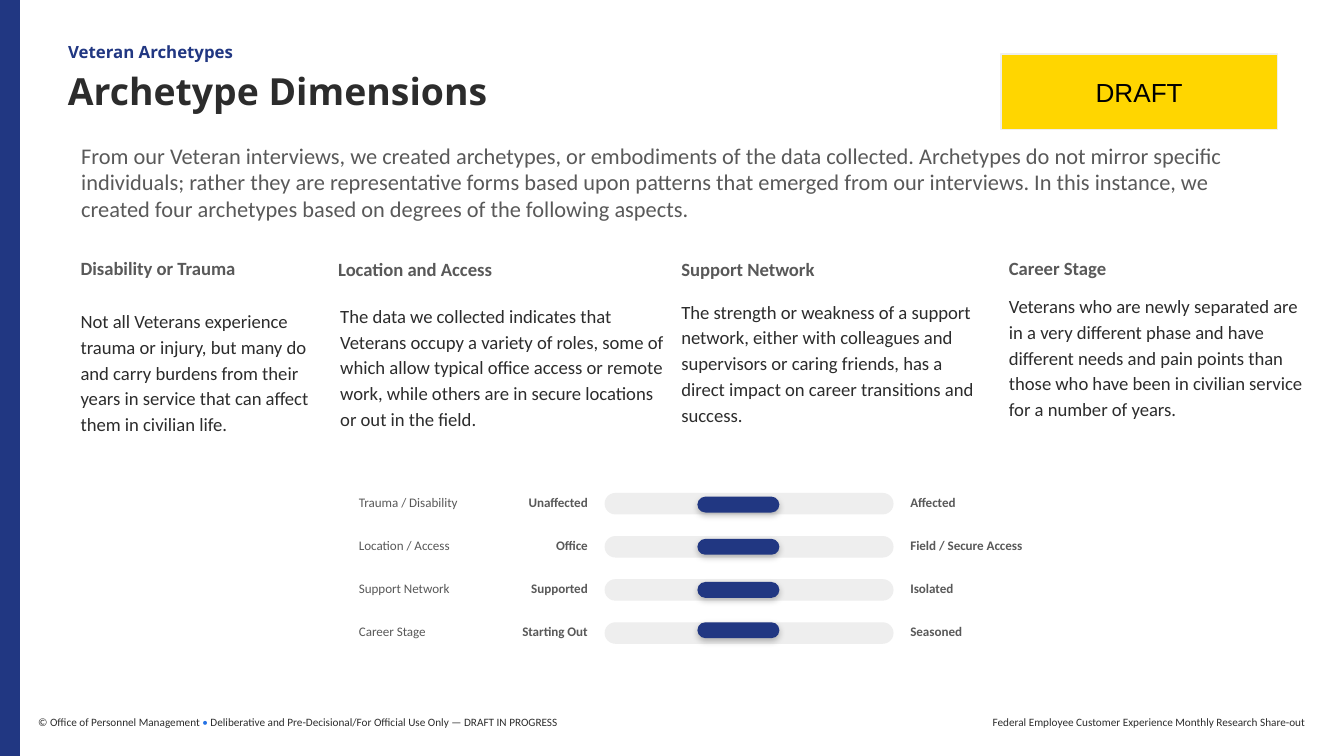
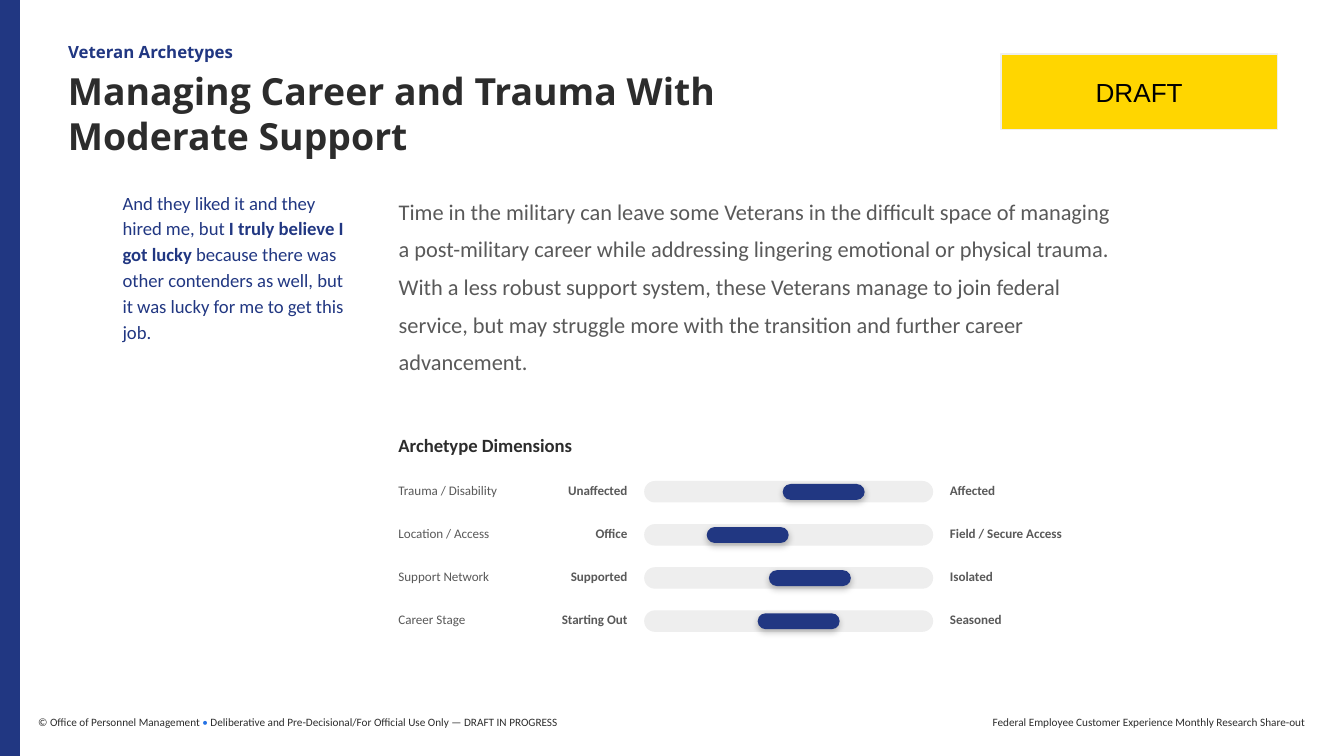
from lxml.etree import SubElement
from pptx import Presentation
from pptx.dml.color import RGBColor
from pptx.enum.shapes import MSO_SHAPE
from pptx.enum.text import MSO_ANCHOR, MSO_AUTO_SIZE, PP_ALIGN
from pptx.oxml.ns import qn
from pptx.util import Pt

COLORS = {
    "navy": "213782", "white": "FFFFFF", "ink": "2C2C2C", "gray": "595959",
    "track": "EEEEEE", "yellow": "FFD600", "black": "000000", "dot": "2572E4",
}
NO_INSETS = (0, 0, 0, 0)
BOX_INSETS = (7.2, 7.2, 7.2, 7.2)
FOOTER_INSETS = (0, 7.2, 0, 7.2)
ROW_PITCH = 23.1

# Dimension, low end, high end, width of the high-end label
DIMENSIONS = [
    ("Trauma / Disability", "Unaffected", "Affected", 78),
    ("Location / Access", "Office", "Field / Secure Access", 89),
    ("Support Network", "Supported", "Isolated", 78),
    ("Career Stage", "Starting Out", "Seasoned", 78),
]

# Heading and its position, then description and its box
ASPECTS = [
    ("Disability or Trauma", (43.2, 137.5),
     "Not all Veterans experience trauma or injury, but many do and carry burdens "
     "from their years in service that can affect them in civilian life.",
     (43.2, 164.2, 126.7, 71.3)),
    ("Location and Access", (181.2, 138.4),
     "The data we collected indicates that Veterans occupy a variety of roles, some "
     "of which allow typical office access or remote work, while others are in "
     "secure locations or out in the field.",
     (182.3, 161.5, 175.7, 66.2)),
    ("Support Network", (365, 138.4),
     "The strength or weakness of a support network, either with colleagues and "
     "supervisors or caring friends, has a direct impact on career transitions "
     "and success.",
     (365, 159.2, 159.8, 71.3)),
    ("Career Stage", (540.5, 137.5),
     "Veterans who are newly separated are in a very different phase and have "
     "different needs and pain points than those who have been in civilian service "
     "for a number of years.",
     (540.5, 156.2, 159.8, 82)),
]


def color(name):
    return RGBColor.from_string(COLORS[name])


def place(shape, box):
    shape.left, shape.top, shape.width, shape.height = (Pt(value) for value in box)


def write_text(shape, text, size=10, font="Calibri", ink="gray", bold=False,
               align=PP_ALIGN.LEFT, anchor=MSO_ANCHOR.TOP, insets=NO_INSETS,
               line_spacing=1.0, space_after=0):
    """Text is a string, or a list of (string, format changes) runs."""
    frame = shape.text_frame
    frame.word_wrap = True
    frame.auto_size = MSO_AUTO_SIZE.NONE
    frame.vertical_anchor = anchor
    (frame.margin_left, frame.margin_top,
     frame.margin_right, frame.margin_bottom) = (Pt(value) for value in insets)
    paragraph = frame.paragraphs[0]
    paragraph.alignment = align
    paragraph.line_spacing = line_spacing
    paragraph.space_before = Pt(0)
    paragraph.space_after = Pt(space_after)
    for words, changes in [(text, {})] if isinstance(text, str) else text:
        run = paragraph.add_run()
        run.text = words
        run.font.size = Pt(size)
        run.font.name = font
        run.font.bold = changes.get("bold", bold)
        run.font.color.rgb = color(changes.get("ink", ink))


def add_text(slide, box, text, **text_format):
    shape = slide.shapes.add_textbox(*(Pt(value) for value in box))
    write_text(shape, text, **text_format)


def add_box(slide, box, fill, kind=MSO_SHAPE.RECTANGLE, line=None):
    shape = slide.shapes.add_shape(kind, *(Pt(value) for value in box))
    shape.shadow.inherit = False
    shape.fill.solid()
    shape.fill.fore_color.rgb = color(fill)
    if line:
        shape.line.color.rgb = color(line)
        shape.line.width = Pt(0.75)
    else:
        shape.line.fill.background()
    return shape


def add_pill(slide, box, fill):
    shape = add_box(slide, box, fill, MSO_SHAPE.ROUNDED_RECTANGLE)
    shape.adjustments[0] = 0.5
    return shape


def add_soft_shadow(shape):
    effects = shape._element.spPr.find(qn("a:effectLst"))
    shadow = SubElement(effects, qn("a:outerShdw"), blurRad=str(Pt(3.4)),
                        dist=str(Pt(1.5)), dir="5400000", rotWithShape="0")
    tint = SubElement(shadow, qn("a:srgbClr"), val=COLORS["black"])
    SubElement(tint, qn("a:alpha"), val="25000")


def add_body(slide, box, text, **text_format):
    body = slide.placeholders[1]
    place(body, box)
    properties = body.text_frame.paragraphs[0]._p.get_or_add_pPr()
    properties.set("marL", "0")
    properties.set("indent", "0")
    SubElement(properties, qn("a:buNone"))
    write_text(body, text, size=12, insets=BOX_INSETS, space_after=10, **text_format)


def add_scales(slide, left, top, markers):
    """One row per dimension; markers holds (left, drop below track top)."""
    for index, (dimension, low, high, high_width) in enumerate(DIMENSIONS):
        track_top = top + index * ROW_PITCH
        label_top = track_top - 1.4
        add_pill(slide, (left + 138.7, track_top, 154.8, 11.5), "track")
        add_text(slide, (left + 70.3, label_top, 68.4, 13), low, size=7, bold=True,
                 align=PP_ALIGN.RIGHT, insets=(7.2, 2.2, 9, 2.2))
        add_text(slide, (left + 293.5, label_top, high_width, 13), high, size=7,
                 bold=True, insets=(9, 2.2, 7.2, 2.2))
        add_text(slide, (left, label_top, 95, 13), dimension, size=7,
                 insets=(7.2, 2.2, 7.2, 2.2))
        marker_left, drop = markers[index]
        marker = add_pill(slide, (marker_left, track_top + drop, 43.9, 8.5), "navy")
        add_soft_shadow(marker)


def add_base_slide(presentation, title, title_width):
    slide = presentation.slides.add_slide(presentation.slide_layouts[1])
    # White panel behind everything leaves the navy band at the left
    panel = add_box(slide, (10.8, 0, 709.2, 405), "white")
    slide.shapes._spTree.insert(2, panel._element)
    # Footers
    add_text(slide, (20.5, 376.8, 324, 20),
             [("© Office of Personnel Management ", {}), ("•", {"ink": "dot"}),
              (" Deliberative and Pre-Decisional/For Official Use Only"
               " — DRAFT IN PROGRESS", {})],
             size=6, ink="ink", anchor=MSO_ANCHOR.MIDDLE, insets=FOOTER_INSETS)
    add_text(slide, (420.4, 376.8, 278.6, 20),
             "Federal Employee Customer Experience Monthly Research Share-out",
             size=6, ink="ink", align=PP_ALIGN.RIGHT, anchor=MSO_ANCHOR.MIDDLE,
             insets=FOOTER_INSETS)
    # Title and the section name above it
    place(slide.shapes.title, (36.3, 36.5, title_width, 56))
    write_text(slide.shapes.title, title, size=20, font="Open Sans", ink="ink",
               bold=True, insets=(0, 0, 0, 7.2))
    add_text(slide, (36.5, 20.3, 230, 13), "Veteran Archetypes", size=9,
             font="Open Sans", ink="navy", bold=True, anchor=MSO_ANCHOR.BOTTOM)
    # Draft stamp
    stamp = add_box(slide, (536.3, 28.9, 148, 40.4), "yellow", line="track")
    write_text(stamp, "DRAFT", size=14, font="Arial", ink="black",
               align=PP_ALIGN.CENTER, anchor=MSO_ANCHOR.MIDDLE, insets=BOX_INSETS)
    return slide


def build_dimensions_slide(presentation):
    slide = add_base_slide(presentation, "Archetype Dimensions", 387.4)
    add_body(slide, (36.3, 68.7, 627, 68.4),
             "From our Veteran interviews, we created archetypes, or embodiments of "
             "the data collected. Archetypes do not mirror specific individuals; "
             "rather they are representative forms based upon patterns that emerged "
             "from our interviews. In this instance, we created four archetypes "
             "based on degrees of the following aspects.")
    for heading, (left, top), description, box in ASPECTS:
        add_text(slide, (left, top, 112, 16), heading, bold=True)
        add_text(slide, box, description, ink="ink", line_spacing=1.15, space_after=10)
    add_scales(slide, 185.2, 264.1, [(373.6, drop) for drop in (2, 1.5, 1.5, 0)])


def build_archetype_slide(presentation):
    slide = add_base_slide(
        presentation, "Managing Career and Trauma With Moderate Support", 431.3)
    add_body(slide, (206.4, 93, 399, 126.7),
             "Time in the military can leave some Veterans in the difficult space of "
             "managing a post-military career while addressing lingering emotional "
             "or physical trauma. With a less robust support system, these Veterans "
             "manage to join federal service, but may struggle more with the "
             "transition and further career advancement.", line_spacing=1.4)
    # Quote
    add_text(slide, (58.6, 93.6, 139.7, 98),
             [("And they liked it and they hired me, but ", {}),
              ("I truly believe I got lucky", {"bold": True}),
              (" because there was other contenders as well, but it was lucky for "
               "me to get this job.", {})],
             ink="navy", insets=BOX_INSETS, line_spacing=1.15)
    # Scales
    add_text(slide, (206.4, 225.4, 236, 26.6), "Archetype Dimensions",
             ink="ink", bold=True, insets=BOX_INSETS)
    add_scales(slide, 206.4, 257.7,
               [(left, 1.6) for left in (419.3, 378.6, 411.9, 405.9)])


def main():
    presentation = Presentation()
    presentation.slide_width, presentation.slide_height = Pt(720), Pt(405)
    background = presentation.slide_master.background.fill
    background.solid()
    background.fore_color.rgb = color("navy")
    build_dimensions_slide(presentation)
    build_archetype_slide(presentation)
    presentation.save("out.pptx")


if __name__ == "__main__":
    main()
